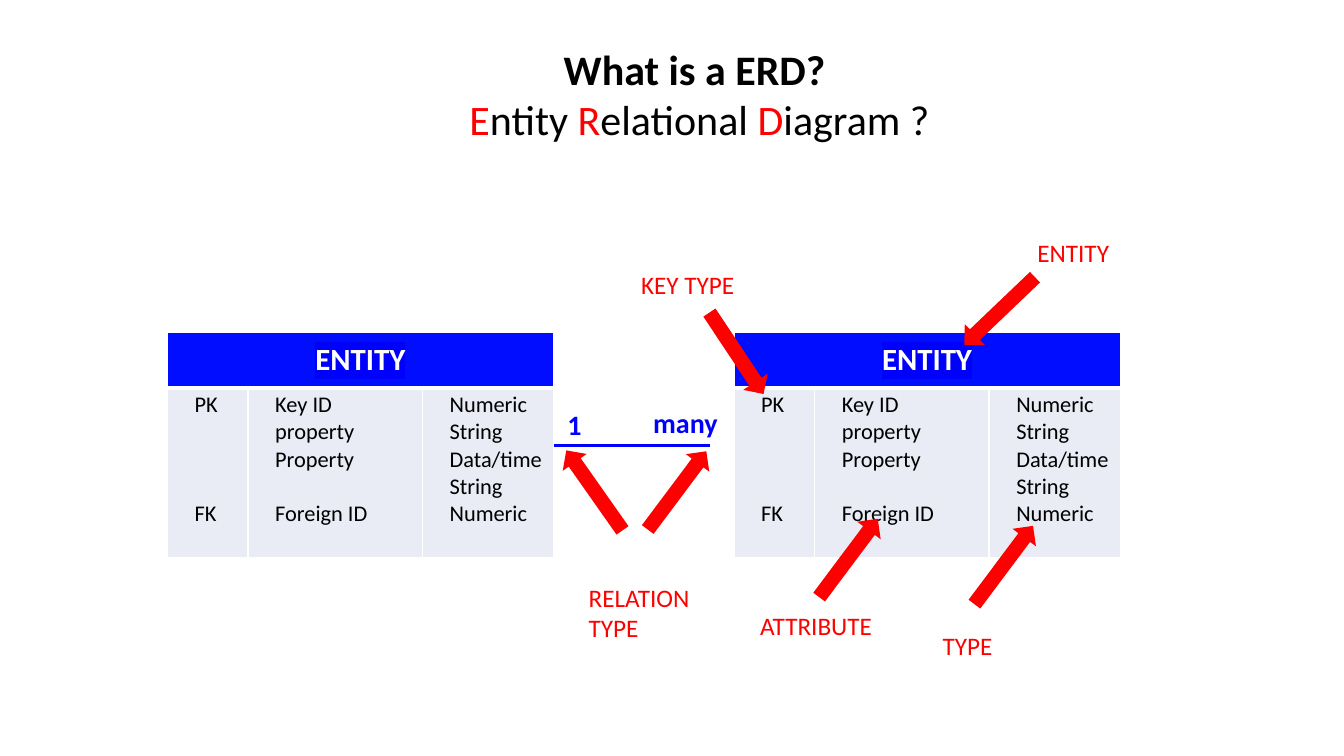
from lxml import etree
from pptx import Presentation
from pptx import util as u
from pptx.dml.color import RGBColor
from pptx.enum import shapes, text
from pptx.oxml.ns import qn

PX = 9144  # EMU per px, 100 px to the inch
COLOURS = {"black": "000000", "white": "FFFFFF", "red": "FF0000",
           "blue": "0000FF", "header": "000DFF", "body": "E9EBF5"}
LINE_PT = 19.5  # height of one 16 pt line


def colour_of(name):
    return RGBColor.from_string(COLOURS[name])


def write(frame, lines, size=18, colour="red", bold=False, align=None,
          skips=None, highlight=None):
    """Fill a frame; a line is a string or a list of (text, colour, bold)."""
    for index, line in enumerate(lines):
        para = frame.paragraphs[0] if index == 0 else frame.add_paragraph()
        para.alignment = align
        if skips and index in skips:
            para.space_before = u.Pt(skips[index] * LINE_PT)
        spans = [(line, colour, bold)] if isinstance(line, str) else line
        for words, span_colour, span_bold in spans:
            span = para.add_run()
            span.text = words
            font = span.font
            font.name, font.size, font.bold = "Calibri", u.Pt(size), span_bold
            font.color.rgb = colour_of(span_colour)
            if highlight:
                mark = etree.Element(qn("a:highlight"))
                etree.SubElement(mark, qn("a:srgbClr"), val=COLOURS[highlight])
                font._element.find(qn("a:solidFill")).addnext(mark)


deck = Presentation()
deck.slide_width, deck.slide_height = 1333 * PX, 750 * PX
page = deck.slides.add_slide(deck.slide_layouts[6])

# Entity tables
COLUMN_WIDTHS = [80, 173, 130]
ROW_HEIGHTS = [55, 168]
FIELDS = [
    (["PK", "FK"], {1: 3}),
    (["Key ID", "property", "Property", "Foreign ID"], {3: 1}),
    (["Numeric", "String", "Data/time", "String", "Numeric"], None),
]
for left in (166, 728):
    table = page.shapes.add_table(2, 3, left * PX, 330 * PX,
                                  383 * PX, 223 * PX).table
    table.first_row = table.horz_banding = False
    for column, width in zip(table.columns, COLUMN_WIDTHS):
        column.width = width * PX
    for row, height in zip(table.rows, ROW_HEIGHTS):
        row.height = height * PX

    for row_index, row in enumerate(table.rows):
        is_header = row_index == 0
        for cell in row.cells:
            cell.fill.solid()
            cell.fill.fore_color.rgb = colour_of("header" if is_header else "body")
            cell.margin_left = (7 if is_header else 27) * PX
            cell.margin_right = 7 * PX
            cell.margin_top = cell.margin_bottom = 3 * PX
            edges = [("a:lnL", 1), ("a:lnR", 1),
                     ("a:lnT", 1 if is_header else 3),
                     ("a:lnB", 3 if is_header else 1)]
            for place, (edge, points) in enumerate(edges):
                border = etree.Element(qn(edge), w=str(u.Pt(points)))
                fill = etree.SubElement(border, qn("a:solidFill"))
                etree.SubElement(fill, qn("a:srgbClr"), val=COLOURS["white"])
                cell._tc.get_or_add_tcPr().insert(place, border)

    header = table.cell(0, 0)
    header.merge(table.cell(0, 2))
    header.vertical_anchor = text.MSO_ANCHOR.MIDDLE
    write(header.text_frame, ["ENTITY"], size=22, colour="white", bold=True,
          align=text.PP_ALIGN.CENTER, highlight="blue")
    for column_index, (lines, skips) in enumerate(FIELDS):
        write(table.cell(1, column_index).text_frame, lines, size=16,
              colour="black", skips=skips)

# Relation line
relation = page.shapes.add_connector(shapes.MSO_CONNECTOR.STRAIGHT,
                                     549 * PX, 442 * PX, 704 * PX, 442 * PX)
relation.line.color.rgb = colour_of("blue")
relation.line.width = u.Pt(2.25)
etree.SubElement(relation._element.spPr, qn("a:effectLst"))

# Callout arrows: left, top, rotation
ARROWS = [
    (977, 260, 46.3),
    (716, 302, 326.4),
    (827, 505, 216.8),
    (981, 512, 216.8),
    (657, 438, 216.8),
    (575, 438, 144.9),
]
for left, top, rotation in ARROWS:
    arrow = page.shapes.add_shape(shapes.MSO_SHAPE.DOWN_ARROW,
                                  left * PX, top * PX, 29 * PX, 97 * PX)
    arrow.rotation = rotation
    arrow.shadow.inherit = False
    arrow.fill.solid()
    arrow.fill.fore_color.rgb = colour_of("red")
    arrow.line.fill.background()

# Title, cardinalities and callout labels
TITLE = [
    [("What is a ERD?", "black", True)],
    [(" ", "black", False), ("E", "red", False), ("ntity ", "black", False),
     ("R", "red", False), ("elational ", "black", False),
     ("D", "red", False), ("iagram ?", "black", False)],
]
title_format = {"size": 30, "align": text.PP_ALIGN.CENTER}
cardinality = {"size": 20, "colour": "blue", "bold": True}
LABELS = [
    (444, 38, 490, 111, TITLE, title_format),
    (638, 397, 90, 44, ["many"], cardinality),
    (553, 399, 42, 44, ["1"], cardinality),
    (1019, 231, 92, 40, ["ENTITY"], {}),
    (744, 601, 132, 40, ["ATTRIBUTE"], {}),
    (925, 620, 70, 40, ["TYPE"], {}),
    (626, 262, 113, 40, ["KEY TYPE"], {}),
    (574, 573, 127, 71, ["RELATION", "TYPE"], {}),
]
for left, top, width, height, lines, style in LABELS:
    box = page.shapes.add_textbox(left * PX, top * PX, width * PX, height * PX)
    box.text_frame.word_wrap = style is cardinality
    box.text_frame.auto_size = text.MSO_AUTO_SIZE.SHAPE_TO_FIT_TEXT
    write(box.text_frame, lines, **style)

deck.save("out.pptx")
